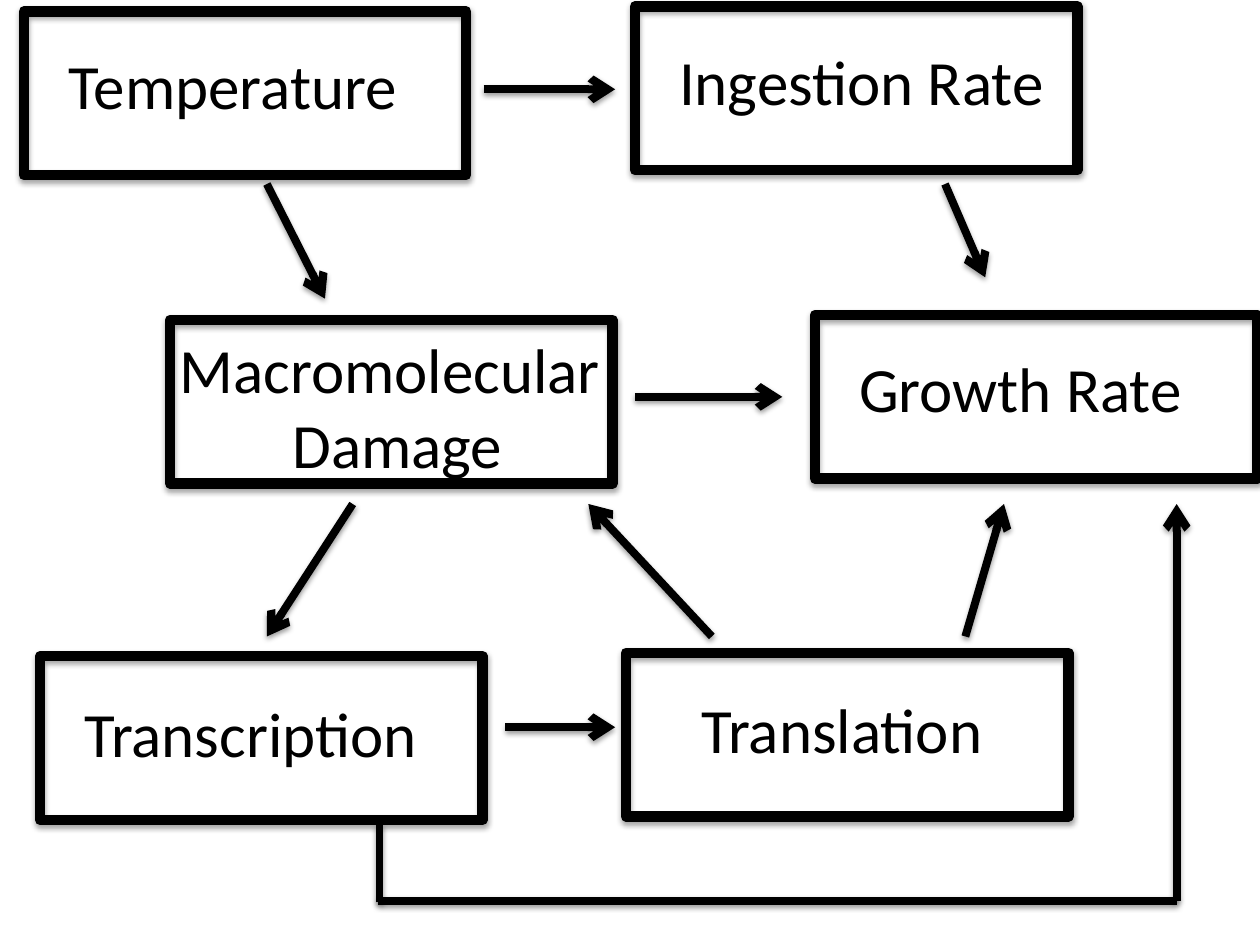
from pptx import Presentation
from pptx.dml.color import RGBColor
from pptx.enum.shapes import MSO_CONNECTOR, MSO_SHAPE
from pptx.enum.text import MSO_AUTO_SIZE, PP_ALIGN
from pptx.oxml import parse_xml
from pptx.oxml.ns import nsdecls
from pptx.util import Cm, Pt

RECTANGLE = MSO_SHAPE.RECTANGLE
STRAIGHT = MSO_CONNECTOR.STRAIGHT
LEFT, CENTER = PP_ALIGN.LEFT, PP_ALIGN.CENTER
FIT_SHAPE = MSO_AUTO_SIZE.SHAPE_TO_FIT_TEXT
COLORS = {"ink": "000000"}
FONT = "Calibri"
BOX_WIDTH, BOX_HEIGHT = 8.92, 3.3
LABEL_HEIGHT, TWO_LINE_HEIGHT = 1.8, 3.33

# Box left and top, label left, top and width, label lines
BOXES = [
    ((0.48, 0.23), (1.14, 0.81, 7.37), ["Temperature"]),
    ((12.8, 0.13), (13.44, 0.74, 7.98), ["Ingestion Rate"]),
    ((0.81, 13.23), (1.45, 13.87, 7.39), ["Transcription"]),
    ((12.62, 13.16), (13.89, 13.79, 6.35), ["Translation"]),
    ((3.43, 6.45), (2.44, 6.53, 10.85), ["Macromolecular", " Damage"]),
    ((16.43, 6.35), (17.07, 6.93, 7.14), ["Growth Rate"]),
]

# Start and end points
ARROWS = [
    ((5.38, 3.71), (6.55, 6.02)),
    ((9.75, 1.8), (12.4, 1.8)),
    ((7.11, 10.16), (5.38, 12.83)),
    ((10.19, 14.66), (12.4, 14.66)),
    ((14.35, 12.83), (11.86, 10.16)),
    ((19.46, 12.83), (20.24, 10.16)),
    ((12.8, 8), (15.77, 8)),
    ((19.05, 3.71), (19.86, 5.59)),
    ((23.72, 18.16), (23.72, 10.16)),
]
PLAIN_LINES = [
    ((7.62, 18.16), (23.72, 18.16)),
    ((7.65, 18.19), (7.65, 16.61)),
]


def set_line(line, width):
    """Give an outline or connector the ink colour and a width in points."""
    line.color.rgb = RGBColor.from_string(COLORS["ink"])
    line.width = Pt(width)


def add_shadow(shape, distance, opacity):
    """Append a soft shadow that falls straight down."""
    shape._element.spPr.append(parse_xml(
        f'<a:effectLst {nsdecls("a")}>'
        f'<a:outerShdw blurRad="{Pt(3.1)}" dist="{Pt(distance)}" '
        'dir="5400000" rotWithShape="0">'
        f'<a:srgbClr val="{COLORS["ink"]}"><a:alpha val="{opacity * 1000}"/>'
        '</a:srgbClr></a:outerShdw></a:effectLst>'))


def add_box(slide, left, top):
    """Add one hollow box of the diagram."""
    box = slide.shapes.add_shape(
        RECTANGLE, Cm(left), Cm(top), Cm(BOX_WIDTH), Cm(BOX_HEIGHT))
    box.fill.background()
    set_line(box.line, 6)
    add_shadow(box, 1.8, 35)


def add_label(slide, left, top, width, lines):
    """Add a label, with one paragraph per line; two lines are centred."""
    several = len(lines) > 1
    height = TWO_LINE_HEIGHT if several else LABEL_HEIGHT
    label = slide.shapes.add_textbox(Cm(left), Cm(top), Cm(width), Cm(height))
    frame = label.text_frame
    frame.word_wrap = several
    frame.auto_size = FIT_SHAPE
    for index, text in enumerate(lines):
        paragraph = frame.add_paragraph() if index else frame.paragraphs[0]
        paragraph.alignment = CENTER if several else LEFT
        run = paragraph.add_run()
        run.text = text
        run.font.name = FONT
        run.font.size = Pt(36)
        run.font.color.rgb = RGBColor.from_string(COLORS["ink"])


def add_line(slide, start, end, arrow=False):
    """Add a straight connector, with an arrowhead at its end if asked."""
    points = [Cm(value) for value in (*start, *end)]
    connector = slide.shapes.add_connector(STRAIGHT, *points)
    set_line(connector.line, 4.5)
    if arrow:
        connector.line._get_or_add_ln().append(
            parse_xml(f'<a:tailEnd {nsdecls("a")} type="arrow"/>'))
    add_shadow(connector, 1.6, 38)


def main():
    """Build the diagram slide and save it."""
    presentation = Presentation()
    presentation.slide_width, presentation.slide_height = Cm(25.4), Cm(19.05)
    slide = presentation.slides.add_slide(presentation.slide_layouts[6])
    for corner, label, lines in BOXES:
        add_box(slide, *corner)
        add_label(slide, *label, lines)
    for start, end in ARROWS:
        add_line(slide, start, end, arrow=True)
    for start, end in PLAIN_LINES:
        add_line(slide, start, end)
    presentation.save("out.pptx")


main()
